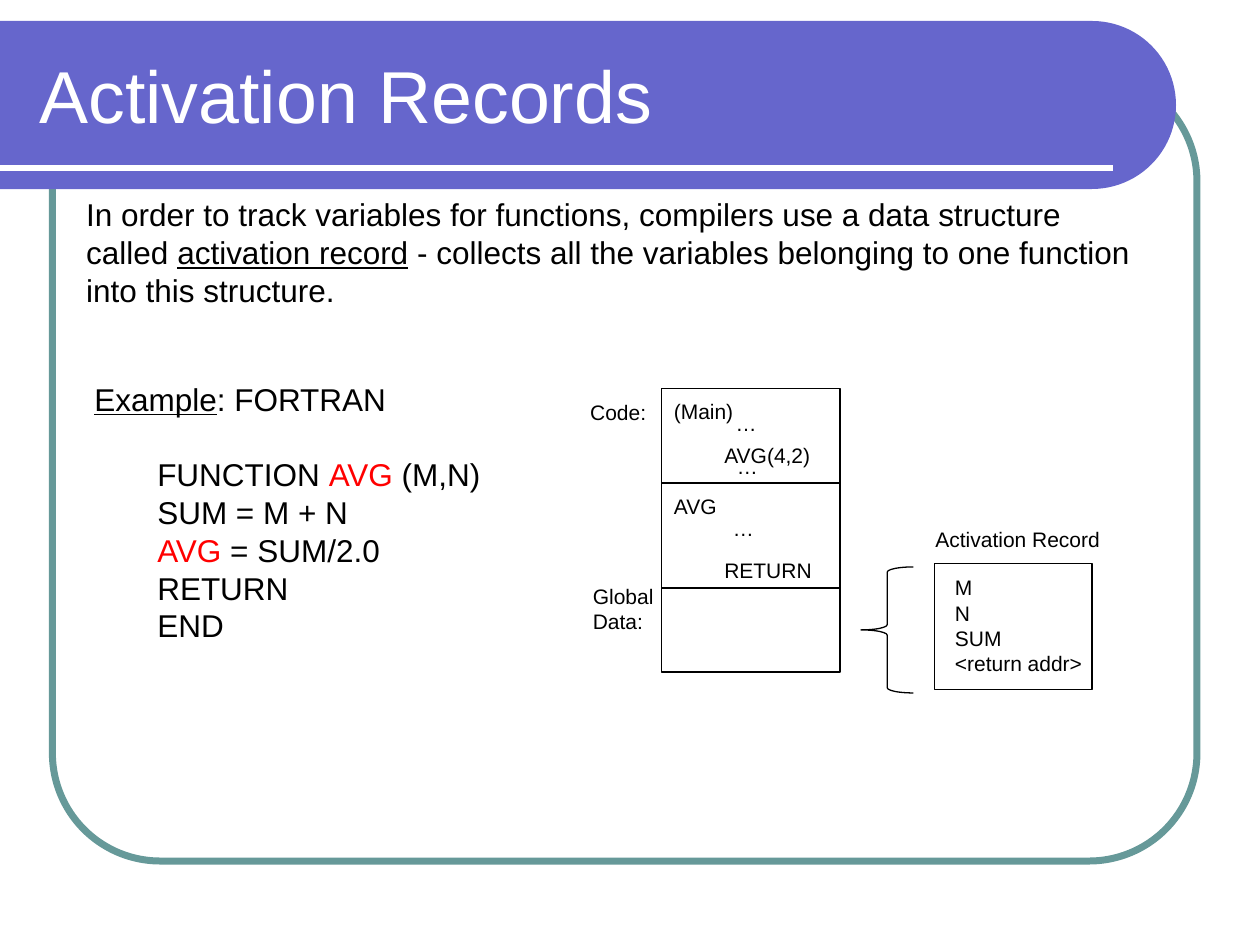
import math
from lxml import etree
from pptx import Presentation
from pptx.dml.color import RGBColor
from pptx.enum import shapes, text
from pptx.oxml.ns import qn
from pptx.util import Pt

COLORS = {"banner": "6666CC", "frame": "669999", "white": "FFFFFF",
          "black": "000000", "red": "FF0000"}
FONT = "Arial"
TITLE = "Activation Records"

# A line is a list of runs; a run is (text, style).
INTRO = [
    [("In order to track variables for functions, compilers use a data structure", "")],
    [("called ", ""), ("activation record", "underline"),
     (" - collects all the variables belonging to one function", "")],
    [("into this structure.", "")],
]
EXAMPLE = [[("Example", "underline"), (": FORTRAN", "")]]
FUNCTION = [
    [("FUNCTION ", ""), ("AVG", "red"), (" (M,N)", "")],
    [("SUM = M + N", "")],
    [("AVG", "red"), (" = SUM/2.0", "")],
    [("RETURN", "")],
    [("END", "")],
]
# Lines, left, top, width
LABELS = [
    (["Code:"], 330.2, 224.6, 52),
    (["(Main)"], 378, 224.2, 52),
    (["…"], 413.3, 231.1, 28),
    (["AVG(4,2)"], 406.8, 249.1, 70),
    (["…"], 414, 255.9, 28),
    (["AVG"], 378, 278.6, 44),
    (["…"], 411.8, 290.9, 28),
    (["RETURN"], 406.8, 315.1, 70),
    (["Global", "Data:"], 331.7, 330, 56),
    (["Activation Record"], 527.5, 297.4, 116),
    (["M", "N", "SUM", "<return addr>"], 538.6, 325, 92),
]
MEMORY = (378, 222, 102, 162)
MEMORY_SPLITS = (276, 336)
RECORD = (534, 322, 90, 72)
BRACE = (492, 324, 30, 72)
FRAME = (30, 42, 654, 450)
BANNER = (0, 12, 672, 96)


def color(name):
    return RGBColor.from_string(COLORS[name])


def add_outline(s, kind, box, line="black", width=0.75, adj=None):
    sp = s.shapes.add_shape(kind, *map(Pt, box))
    sp.shadow.inherit = False
    sp.fill.background()
    sp.line.color.rgb = color(line)
    sp.line.width = Pt(width)
    if adj is not None:
        sp.adjustments[0] = adj


def add_rule(s, x1, x2, y, line="black", width=0.75):
    c = s.shapes.add_connector(shapes.MSO_CONNECTOR.STRAIGHT, Pt(x1), Pt(y), Pt(x2), Pt(y))
    c.line.color.rgb = color(line)
    c.line.width = Pt(width)
    etree.SubElement(c.element.spPr, qn("a:effectLst"))


def add_banner(s):
    """Bar whose right end is a half circle."""
    x, y, w, h = BANNER
    radius, steps = h / 2, 48
    angles = [math.pi * (i / steps - 0.5) for i in range(steps + 1)]
    arc = [(x + w - radius + radius * math.cos(a), y + radius + radius * math.sin(a))
           for a in angles]
    fb = s.shapes.build_freeform(Pt(x), Pt(y))
    fb.add_line_segments([(Pt(px), Pt(py)) for px, py in arc + [(x, y + h)]], close=True)
    sp = fb.convert_to_shape()
    sp.shadow.inherit = False
    sp.fill.solid()
    sp.fill.fore_color.rgb = color("banner")
    sp.line.fill.background()


def add_run(p, words, size, style="", fill="black"):
    r = p.add_run()
    r.text = words
    r.font.name = FONT
    r.font.size = Pt(size)
    r.font.color.rgb = color("red" if style == "red" else fill)
    if style == "underline":
        r.font.underline = True


def add_text(s, lines, left, top, width, size, indented=()):
    """Write lines, then indented lines set off by one line of space."""
    pitch = 1.2 * size
    rows = len(lines) + len(indented) + bool(indented)
    sp = s.shapes.add_textbox(Pt(left), Pt(top), Pt(width), Pt(rows * pitch + 7.2))
    tf = sp.text_frame
    tf.word_wrap = False
    for i, runs in enumerate([*lines, *indented]):
        p = tf.paragraphs[0] if i == 0 else tf.add_paragraph()
        p.line_spacing = Pt(pitch)
        if i >= len(lines):
            p.level = 1
            p._p.get_or_add_pPr().set("marL", str(Pt(36)))
            if i == len(lines):
                p.space_before = Pt(pitch)
        for words, style in runs:
            add_run(p, words, size, style)


def place_title(s):
    sp = s.shapes.title
    sp.left, sp.top, sp.width, sp.height = map(Pt, (15.4, 18, 631.5, 72))
    tf = sp.text_frame
    tf.auto_size = text.MSO_AUTO_SIZE.NONE
    tf.vertical_anchor = text.MSO_ANCHOR.MIDDLE
    p = tf.paragraphs[0]
    p.alignment = text.PP_ALIGN.LEFT
    add_run(p, TITLE, 42, fill="white")
    sp.element.getparent().append(sp.element)  # bring in front of the banner


def main():
    prs = Presentation()
    prs.slide_width, prs.slide_height = Pt(720), Pt(540)
    s = prs.slides.add_slide(prs.slide_layouts[5])
    kinds = shapes.MSO_SHAPE

    add_outline(s, kinds.ROUNDED_RECTANGLE, FRAME, "frame", 4, 0.137)
    add_banner(s)
    add_rule(s, 0, 636, 96, "white", 3)
    place_title(s)

    add_text(s, INTRO, 42.2, 108, 620, 18)
    add_text(s, EXAMPLE, 46.8, 213.4, 250, 18, FUNCTION)

    add_outline(s, kinds.RECTANGLE, MEMORY)
    for y in MEMORY_SPLITS:
        add_rule(s, MEMORY[0], MEMORY[0] + MEMORY[2], y)
    add_outline(s, kinds.RECTANGLE, RECORD)
    add_outline(s, kinds.LEFT_BRACE, BRACE, adj=0.1)
    for lines, left, top, width in LABELS:
        add_text(s, [[(line, "")] for line in lines], left, top, width, 12)

    prs.save("out.pptx")


if __name__ == "__main__":
    main()
